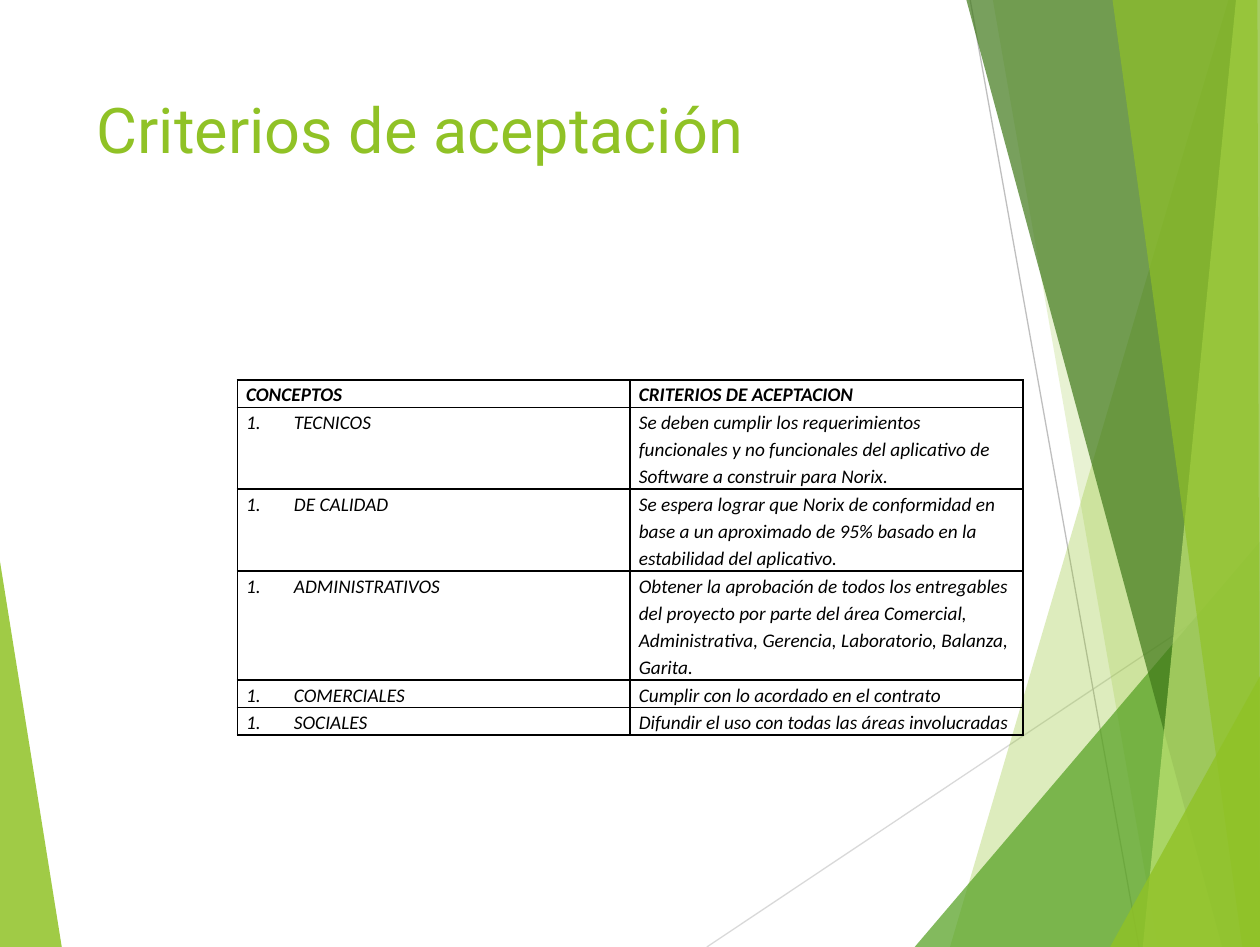
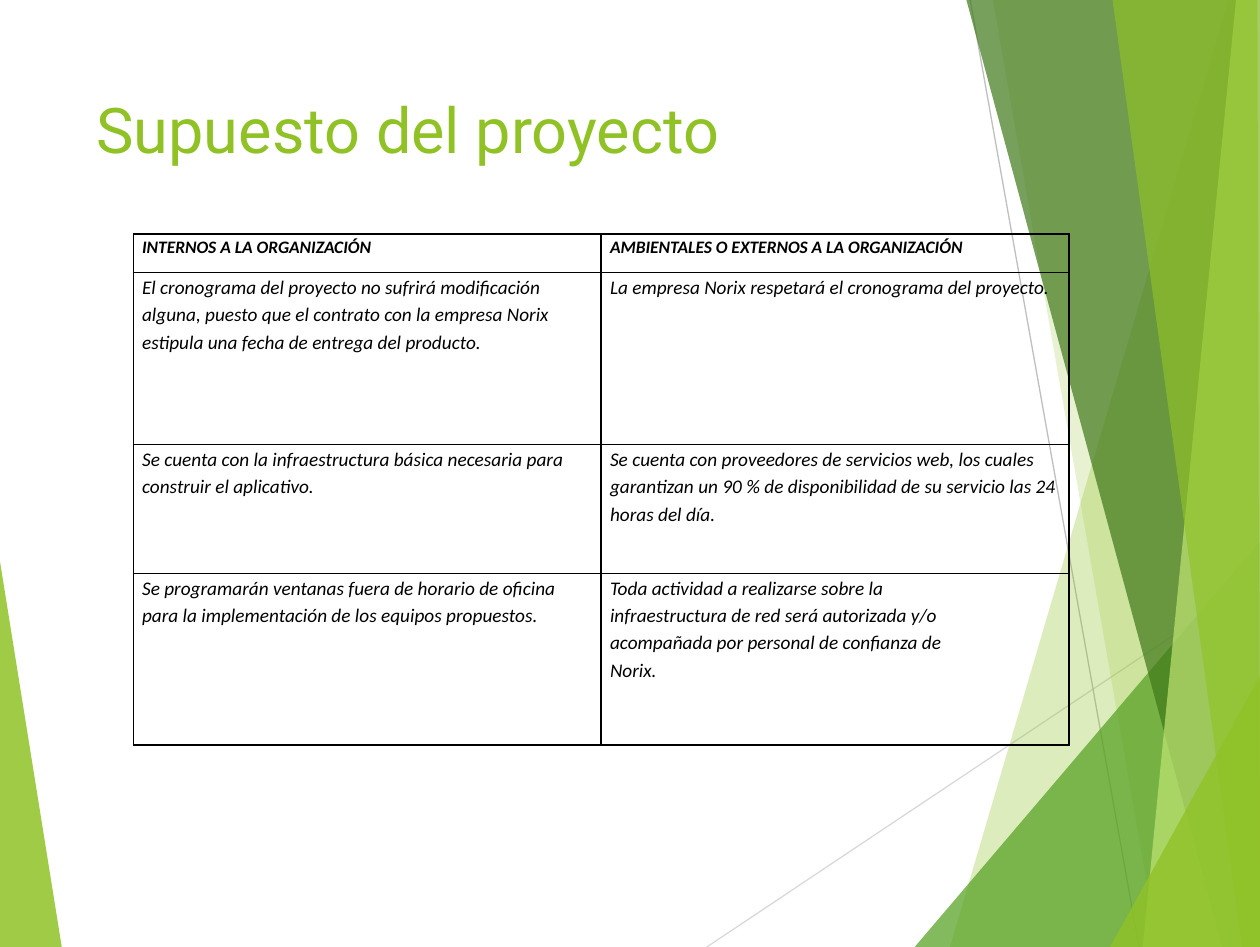
from lxml import etree
from pptx import Presentation
from pptx.dml.color import RGBColor
from pptx.enum.shapes import MSO_CONNECTOR
from pptx.enum.text import MSO_ANCHOR, MSO_AUTO_SIZE, PP_ALIGN
from pptx.oxml.ns import qn
from pptx.util import Emu, Inches, Pt

STRAIGHT = MSO_CONNECTOR.STRAIGHT
TOP = MSO_ANCHOR.TOP
LEFT = PP_ALIGN.LEFT
NO_AUTOFIT = MSO_AUTO_SIZE.NONE

TITLE_ONLY = 5
PLAIN_TABLE_STYLE = "{2D5ABB26-0587-4C30-8999-92F81FD0307C}"
WIDTH, HEIGHT = Inches(10), Emu(6873875)
COLUMNS = ROWS = 100  # the grid that every position is counted in

COLORS = {
    "lime": "90C226",
    "green": "54A021",
    "forest": "3F7819",
    "pale": "C0E474",
    "gray": "BFBFBF",
    "light gray": "D9D9D9",
    "black": "000000",
}

RAYS = [
    ((56.1, 100), (100, 61), "light gray"),
    ((77, 0), (90.4, 100), "gray"),
]
# colour, opacity in percent, corners
LEFT_BAND = ("lime", 85, [(0, 59.3), (4.9, 100), (0, 100)])
RIGHT_BANDS = [
    ("lime", 30, [(97.5, 0), (75.4, 100), (100, 100), (100, 0)]),
    ("lime", 20, [(78.8, 0), (91.9, 100), (100, 100), (100, 0)]),
    ("green", 72, [(72.6, 100), (100, 57.2), (100, 100)]),
    ("forest", 70, [(76.7, 0), (97, 100), (100, 100), (100, 0)]),
    ("pale", 70, [(98.1, 0), (90.7, 100), (100, 100), (100, 0)]),
    ("lime", 65, [(88.3, 0), (98.6, 100), (100, 100), (99.8, 0)]),
    ("lime", 80, [(88.1, 100), (100, 71.4), (100, 100)]),
]

CRITERIA = [
    ("CONCEPTOS", "CRITERIOS DE ACEPTACION"),
    ("TECNICOS", "Se deben cumplir los requerimientos funcionales y no funcionales "
                 "del aplicativo de Software a construir para Norix."),
    ("DE CALIDAD", "Se espera lograr que Norix de conformidad en base a un aproximado "
                   "de 95% basado en la estabilidad del aplicativo."),
    ("ADMINISTRATIVOS", "Obtener la aprobación de todos los entregables del proyecto por "
                        "parte del área Comercial, Administrativa, Gerencia, Laboratorio, "
                        "Balanza, Garita."),
    ("COMERCIALES", "Cumplir con lo acordado en el contrato"),
    ("SOCIALES", "Difundir el uso con todas las áreas involucradas"),
]
CRITERIA_LINES = [1, 3, 3, 4, 1, 1]
LINE_ROWS = 2.87  # grid rows taken by one line of table text

ASSUMPTIONS = [
    ("INTERNOS A LA ORGANIZACIÓN", "AMBIENTALES O EXTERNOS A LA ORGANIZACIÓN"),
    ("El cronograma del proyecto no sufrirá modificación alguna, puesto que el contrato "
     "con la empresa Norix estipula una fecha de entrega del producto.",
     "La empresa Norix respetará el cronograma del proyecto."),
    ("Se cuenta con la infraestructura básica necesaria para construir el aplicativo.",
     "Se cuenta con proveedores de servicios web, los cuales garantizan un 90 % de "
     "disponibilidad de su servicio las 24 horas del día."),
    ("Se programarán ventanas fuera de horario de oficina para la implementación de los "
     "equipos propuestos.",
     "Toda actividad a realizarse sobre la\n"
     "infraestructura de red será autorizada y/o\n"
     "acompañada por personal de confianza de\n"
     "Norix."),
]
ASSUMPTION_HEIGHTS = [4.1, 18.15, 13.6, 18.15]


def across(columns):
    return round(WIDTH * columns / COLUMNS)


def down(rows):
    return round(HEIGHT * rows / ROWS)


def rgb(color):
    return RGBColor.from_string(COLORS[color])


class Deck:
    """Holds the style, the presentation and the slide being built."""

    title_font, title_size = "Roboto", 36
    table_font, table_size = "Calibri", 11

    def __init__(self):
        self.file = Presentation()
        self.file.slide_width, self.file.slide_height = WIDTH, HEIGHT
        self.layout = self.file.slide_layouts[TITLE_ONLY]
        self.page = None

    def add_page(self, title):
        self.page = self.file.slides.add_slide(self.layout)
        if len(self.file.slides) == 1:
            self.decorate_layout()
        self.title(title)

    def decorate_layout(self):
        """Draw the bands once and move them to the layout that all pages share."""
        parts = [self.band(*LEFT_BAND)]
        parts += [self.ray(*ray) for ray in RAYS]
        parts += [self.band(*band) for band in RIGHT_BANDS]
        for part in parts:
            self.layout.shapes.element.append(part.element)

    def band(self, color, opacity, corners):
        points = [(across(x), down(y)) for x, y in corners]
        builder = self.page.shapes.build_freeform(*points[0])
        builder.add_line_segments(points[1:], close=True)
        shape = builder.convert_to_shape()
        shape.shadow.inherit = False
        shape.fill.solid()
        shape.fill.fore_color.rgb = rgb(color)
        shape.line.fill.background()
        fill_color = shape.element.spPr.find(qn("a:solidFill"))[0]
        etree.SubElement(fill_color, qn("a:alpha"), val=str(opacity * 1000))
        return shape

    def ray(self, start, end, color):
        line = self.page.shapes.add_connector(
            STRAIGHT, across(start[0]), down(start[1]), across(end[0]), down(end[1]))
        line.line.color.rgb = rgb(color)
        line.line.width = Pt(0.75)
        etree.SubElement(line.element.spPr, qn("a:effectLst"))
        return line

    def title(self, text):
        box = self.page.shapes.title
        box.left, box.top = across(6.66), down(8.9)
        box.width, box.height = across(69.4), down(19.3)
        frame = box.text_frame
        frame.vertical_anchor = TOP
        frame.auto_size = NO_AUTOFIT
        para = frame.paragraphs[0]
        para.alignment = LEFT
        self.span(para, text, self.title_font, self.title_size, "lime")

    def span(self, para, text, font, size, color, bold=False, italic=False):
        run = para.add_run()
        run.text = text
        run.font.name, run.font.size = font, Pt(size)
        run.font.bold, run.font.italic = bold, italic
        run.font.color.rgb = rgb(color)

    def table(self, left, top, width, heights, texts, header_size, numbered=False):
        column_count = len(texts[0])
        table = self.page.shapes.add_table(
            len(texts), column_count, across(left), down(top),
            across(width), down(sum(heights))).table
        table.first_row = table.horz_banding = False
        table._tbl.tblPr.find(qn("a:tableStyleId")).text = PLAIN_TABLE_STYLE
        for row, height in zip(table.rows, heights):
            row.height = down(height)
        for row_index, row_texts in enumerate(texts):
            header = row_index == 0
            size = header_size if header else self.table_size
            for column_index, text in enumerate(row_texts):
                self.cell(table.cell(row_index, column_index), text, size, header,
                          numbered and not header and column_index == 0)

    def cell(self, cell, text, size, bold, numbered):
        cell.margin_left = cell.margin_right = Inches(0.07)
        cell.margin_top = cell.margin_bottom = 0
        cell.fill.background()
        self.borders(cell)
        frame = cell.text_frame
        for index, line in enumerate(text.split("\n")):
            para = frame.add_paragraph() if index else frame.paragraphs[0]
            para.line_spacing = 1.15
            if numbered:
                self.number(para)
            self.span(para, line, self.table_font, size, "black", bold, italic=True)

    def borders(self, cell):
        properties = cell._tc.get_or_add_tcPr()
        for index, side in enumerate("LRTB"):
            border = etree.Element(qn(f"a:ln{side}"), w=str(Pt(1)))
            fill = etree.SubElement(border, qn("a:solidFill"))
            etree.SubElement(fill, qn("a:srgbClr"), val=COLORS["black"])
            properties.insert(index, border)

    def number(self, para):
        indent = Inches(0.38)
        properties = para._p.get_or_add_pPr()
        properties.set("marL", str(indent))
        properties.set("indent", str(-indent))
        etree.SubElement(properties, qn("a:buAutoNum"), type="arabicPeriod")


def main():
    deck = Deck()

    deck.add_page("Criterios de aceptación")
    heights = [lines * LINE_ROWS for lines in CRITERIA_LINES]
    deck.table(18.83, 40.12, 62.35, heights, CRITERIA, header_size=11, numbered=True)

    deck.add_page("Supuesto del proyecto")
    deck.table(10.58, 24.7, 74.28, ASSUMPTION_HEIGHTS, ASSUMPTIONS, header_size=10)

    deck.file.save("out.pptx")


if __name__ == "__main__":
    main()
